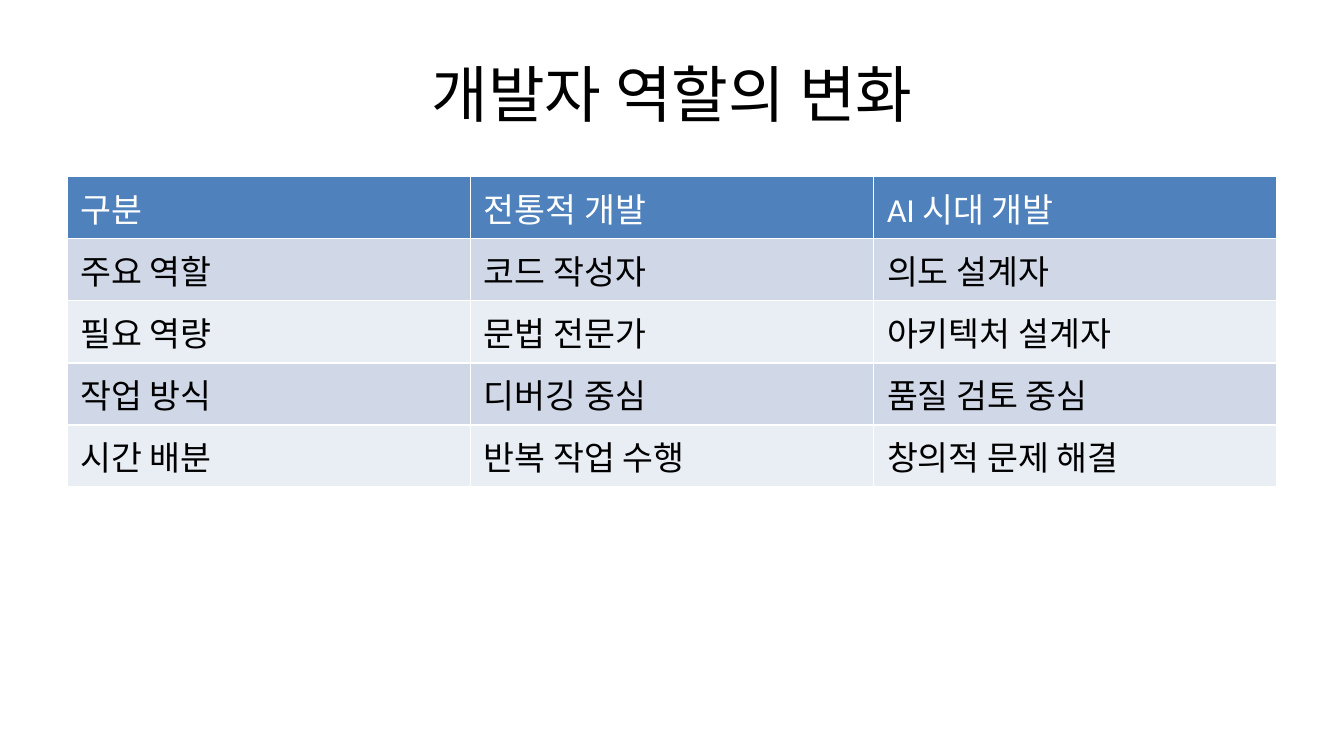
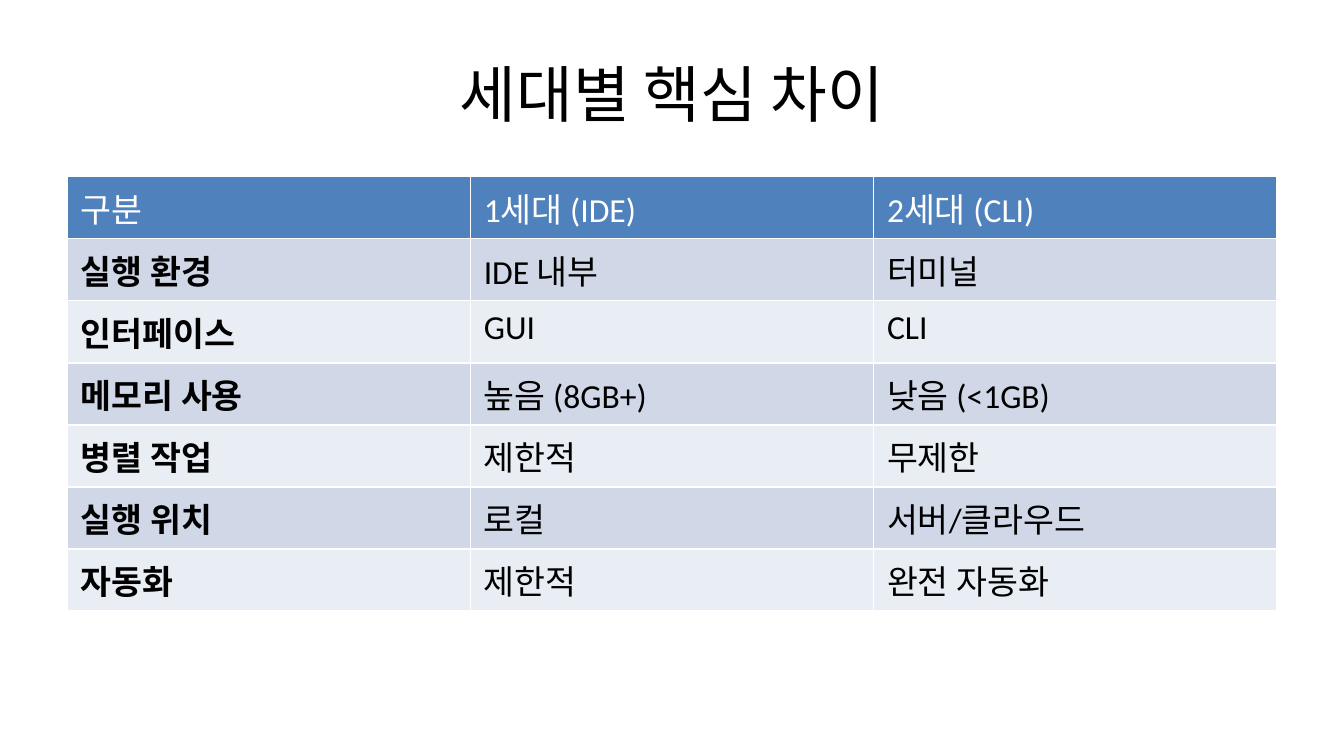
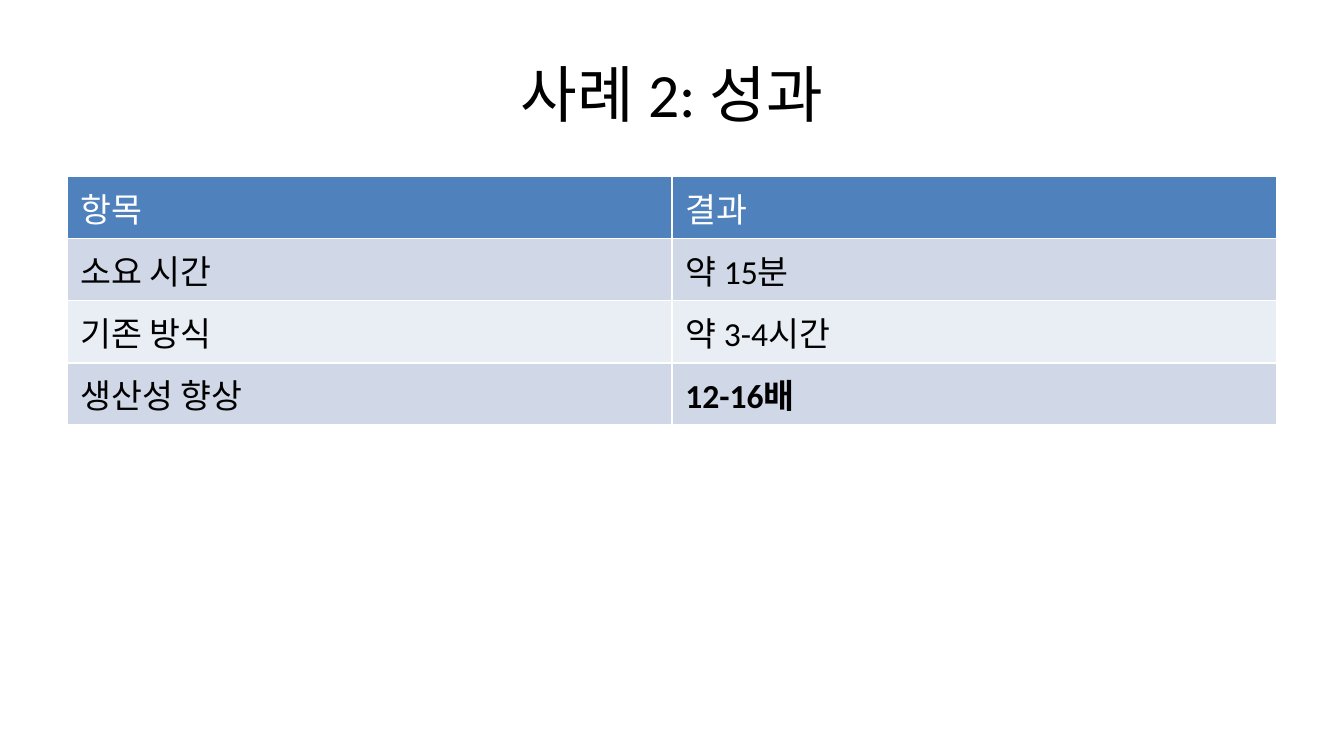
from pptx import Presentation
from pptx.dml.color import RGBColor as RGB
from pptx.enum.text import MSO_ANCHOR as Anchor, MSO_AUTO_SIZE as AutoSize, PP_ALIGN as Align
from pptx.util import Inches, Pt

WIDTH = Inches(10)
HEIGHT = WIDTH * 9 // 16
MARGIN = WIDTH // 20
CONTENT_WIDTH = WIDTH - 2 * MARGIN
TITLE_TOP, TITLE_HEIGHT = HEIGHT // 25, HEIGHT // 6
TABLE_TOP, TABLE_HEIGHT = HEIGHT * 7 // 30, HEIGHT * 33 // 50
TITLE_ONLY = 5
FONT = "Calibri"
COLORS = {
    "text": "000000",
    "header_text": "FFFFFF",
    "header": "4F81BD",
    "odd_row": "D0D8E8",
    "even_row": "E9EDF4",
}

ROLE_CHANGES = [
    ("구분", "전통적 개발", "AI 시대 개발"),
    ("주요 역할", "코드 작성자", "의도 설계자"),
    ("필요 역량", "문법 전문가", "아키텍처 설계자"),
    ("작업 방식", "디버깅 중심", "품질 검토 중심"),
    ("시간 배분", "반복 작업 수행", "창의적 문제 해결"),
]
GENERATIONS = [
    ("구분", "1세대 (IDE)", "2세대 (CLI)"),
    ("실행 환경", "IDE 내부", "터미널"),
    ("인터페이스", "GUI", "CLI"),
    ("메모리 사용", "높음 (8GB+)", "낮음 (<1GB)"),
    ("병렬 작업", "제한적", "무제한"),
    ("실행 위치", "로컬", "서버/클라우드"),
    ("자동화", "제한적", "완전 자동화"),
]
CASE_RESULTS = [
    ("항목", "결과"),
    ("소요 시간", "약 15분"),
    ("기존 방식", "약 3-4시간"),
    ("생산성 향상", "12-16배"),
]


def write(frame, text, size=18, color="text", bold=False, align=Align.LEFT):
    paragraph = frame.paragraphs[0]
    paragraph.alignment = align
    run = paragraph.add_run()
    run.text = text
    run.font.name = FONT
    run.font.size = Pt(size)
    run.font.bold = bold
    run.font.color.rgb = RGB.from_string(COLORS[color])


def add_titled_slide(deck, heading):
    slide = deck.slides.add_slide(deck.slide_layouts[TITLE_ONLY])
    title = slide.shapes.title
    title.left, title.top = MARGIN, TITLE_TOP
    title.width, title.height = CONTENT_WIDTH, TITLE_HEIGHT
    title.text_frame.auto_size = AutoSize.NONE
    title.text_frame.vertical_anchor = Anchor.MIDDLE
    write(title.text_frame, heading, size=33, align=Align.CENTER)
    return slide


def row_fill(row):
    if row == 0:
        return "header"
    return "odd_row" if row % 2 else "even_row"


def add_comparison(slide, rows, bold_cells=()):
    """Add a table with equal columns and rows as tall as their text."""
    frame = slide.shapes.add_table(len(rows), len(rows[0]), MARGIN, TABLE_TOP,
                                   CONTENT_WIDTH, TABLE_HEIGHT)
    table = frame.table
    for r, values in enumerate(rows):
        table.rows[r].height = 0
        for c, value in enumerate(values):
            cell = table.cell(r, c)
            cell.fill.solid()
            cell.fill.fore_color.rgb = RGB.from_string(COLORS[row_fill(r)])
            write(cell.text_frame, value, bold=(r, c) in bold_cells,
                  color="text" if r else "header_text")
    frame.height = TABLE_HEIGHT


def main():
    deck = Presentation()
    deck.slide_width, deck.slide_height = WIDTH, HEIGHT
    row_labels = [(r, 0) for r in range(1, len(GENERATIONS))]
    productivity_gain = (len(CASE_RESULTS) - 1, 1)
    for heading, rows, bold_cells in (
        ("개발자 역할의 변화", ROLE_CHANGES, ()),
        ("세대별 핵심 차이", GENERATIONS, row_labels),
        ("사례 2: 성과", CASE_RESULTS, [productivity_gain]),
    ):
        add_comparison(add_titled_slide(deck, heading), rows, bold_cells)
    deck.save("out.pptx")


if __name__ == "__main__":
    main()
